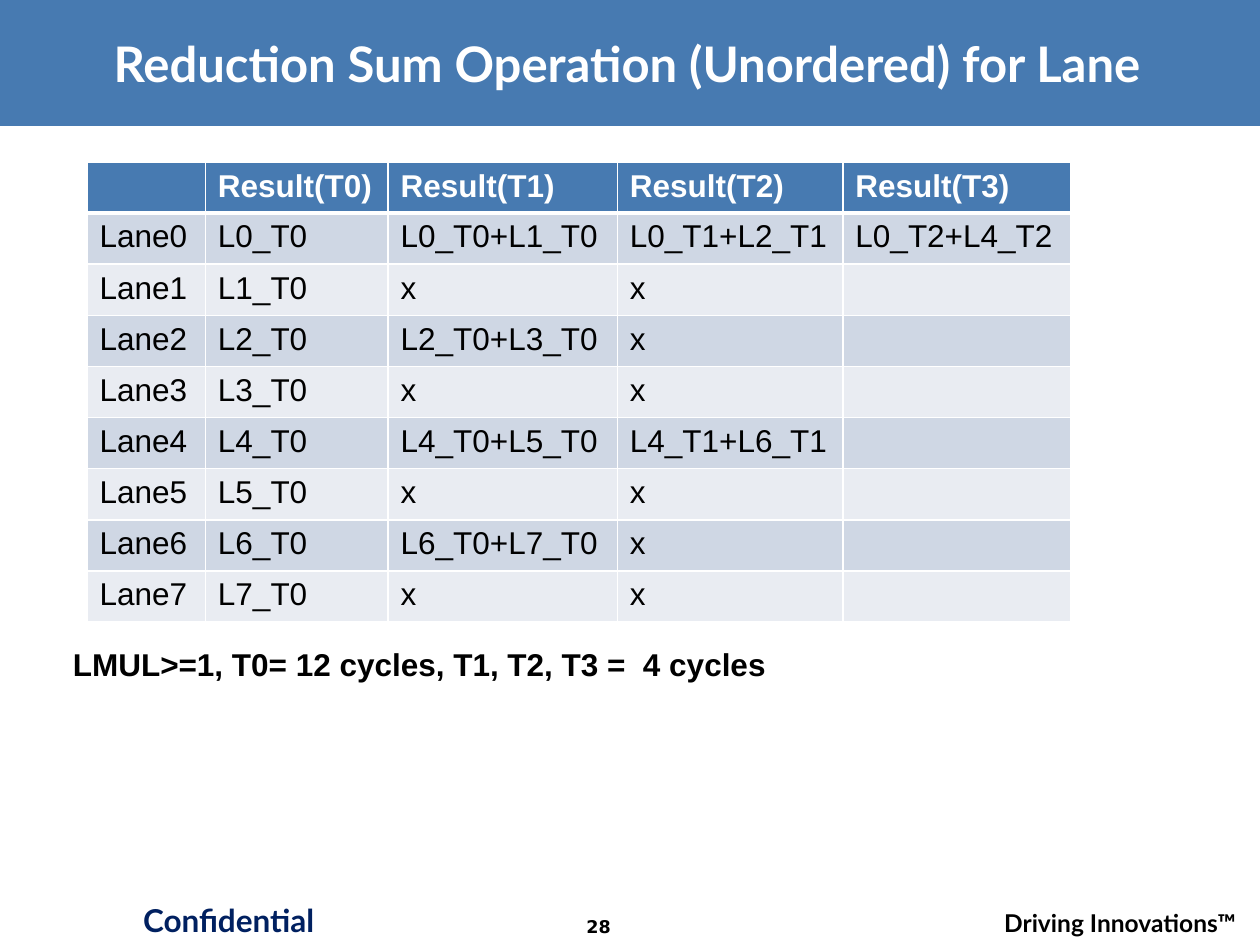
from lxml import etree
from pptx import Presentation
from pptx.dml.color import RGBColor
from pptx.enum.shapes import MSO_SHAPE
from pptx.enum.text import MSO_ANCHOR, PP_ALIGN
from pptx.oxml.ns import qn
from pptx.util import Inches, Pt

RECTANGLE = MSO_SHAPE.RECTANGLE
TOP, MIDDLE = MSO_ANCHOR.TOP, MSO_ANCHOR.MIDDLE
LEFT, CENTER, RIGHT = PP_ALIGN.LEFT, PP_ALIGN.CENTER, PP_ALIGN.RIGHT

WIDTH, HEIGHT = 10, 7.5
BLUE, NAVY, WHITE, BLACK = "477AB1", "002060", "FFFFFF", "000000"
BANDS = ("CFD7E4", "E9ECF2")
LANES, STEPS = 8, 3
TABLE_LEFT, TABLE_TOP = 0.69, 1.29
COLUMN_WIDTHS = (0.94, 1.45, 1.82, 1.79, 1.81)
HEADER_HEIGHT, TABLE_HEIGHT = 0.39, 3.64


def color(hex_code):
    return RGBColor.from_string(hex_code)


def add_run(paragraph, text, size, font, hex_code, bold=False):
    run = paragraph.add_run()
    run.text = text
    run.font.size = Pt(size)
    run.font.name = font
    run.font.bold = bold
    run.font.color.rgb = color(hex_code)
    return run


def add_label(slide, place, text, size, font, hex_code, align=LEFT, anchor=TOP):
    frame = slide.shapes.add_textbox(*map(Inches, place)).text_frame
    frame.word_wrap = True
    frame.vertical_anchor = anchor
    paragraph = frame.paragraphs[0]
    paragraph.alignment = align
    return add_run(paragraph, text, size, font, hex_code, bold=True)


def add_text_shadow(run, hex_code):
    effects = etree.Element(qn("a:effectLst"))
    shadow = etree.SubElement(effects, qn("a:outerShdw"),
                              dist="38100", dir="2700000", algn="tl")
    etree.SubElement(shadow, qn("a:srgbClr"), val=hex_code)
    run.font.fill._xPr.find(qn("a:solidFill")).addnext(effects)


def add_banner(slide):
    banner = slide.shapes.add_shape(RECTANGLE, 0, 0, Inches(WIDTH), Inches(1))
    banner.shadow.inherit = False
    banner.fill.solid()
    banner.fill.fore_color.rgb = color(BLUE)
    banner.line.fill.background()


def add_border(cell, side, points):
    edge = etree.SubElement(cell._tc.get_or_add_tcPr(), qn(f"a:ln{side}"), w=str(Pt(points)))
    fill = etree.SubElement(edge, qn("a:solidFill"))
    etree.SubElement(fill, qn("a:srgbClr"), val=WHITE)


def style_cell(cell, text, row):
    is_header = row == 0
    widths = {"L": 1, "R": 1, "T": 3 if row == 1 else 1, "B": 3 if is_header else 1}
    for side, points in widths.items():
        add_border(cell, side, points)
    cell.fill.solid()
    cell.fill.fore_color.rgb = color(BLUE if is_header else BANDS[(row - 1) % 2])
    if text:
        add_run(cell.text_frame.paragraphs[0], text, 18, "Arial",
                WHITE if is_header else BLACK, is_header)


def partial_sum(lane, step):
    stride = 2 ** step
    if lane % stride == 0:
        return f"L{lane}_T{step - 1}+L{lane + stride // 2}_T{step - 1}"
    return "" if step == STEPS else "x"


def reduction_rows():
    header = [""] + [f"Result(T{step})" for step in range(STEPS + 1)]
    lanes = [
        [f"Lane{lane}", f"L{lane}_T0"]
        + [partial_sum(lane, step) for step in range(1, STEPS + 1)]
        for lane in range(LANES)
    ]
    return [header] + lanes


def add_reduction_table(slide):
    rows = reduction_rows()
    place = (TABLE_LEFT, TABLE_TOP, sum(COLUMN_WIDTHS), TABLE_HEIGHT)
    table = slide.shapes.add_table(
        len(rows), len(COLUMN_WIDTHS), *map(Inches, place)).table
    for column, width in zip(table.columns, COLUMN_WIDTHS):
        column.width = Inches(width)
    lane_height = (TABLE_HEIGHT - HEADER_HEIGHT) / LANES
    for row, texts in enumerate(rows):
        table.rows[row].height = Inches(lane_height if row else HEADER_HEIGHT)
        for column, text in enumerate(texts):
            style_cell(table.cell(row, column), text, row)


def main():
    deck = Presentation()
    deck.slide_width, deck.slide_height = Inches(WIDTH), Inches(HEIGHT)
    slide = deck.slides.add_slide(deck.slide_layouts[6])
    add_banner(slide)
    add_label(slide, (0.94, 7.1, 1.75, 0.42), "Confidential", 18, "Lato", NAVY, CENTER)
    add_label(slide, (7.54, 7.16, 2.37, 0.27), "Driving Innovations™", 14, "Lato", BLACK, RIGHT)
    add_label(slide, (4.29, 7.22, 0.92, 0.28), "28", 10, "DejaVu Sans", BLACK, CENTER)
    title = add_label(slide, (0.22, 0.17, 9.51, 0.66),
                      "Reduction Sum Operation (Unordered) for Lane",
                      28, "Lato", WHITE, CENTER, MIDDLE)
    add_text_shadow(title, BLACK)
    add_reduction_table(slide)
    add_label(slide, (0.48, 5.07, 8.65, 0.71),
              "LMUL>=1, T0= 12 cycles, T1, T2, T3 =  4 cycles", 18, "Arial", BLACK)
    deck.save("out.pptx")


if __name__ == "__main__":
    main()
